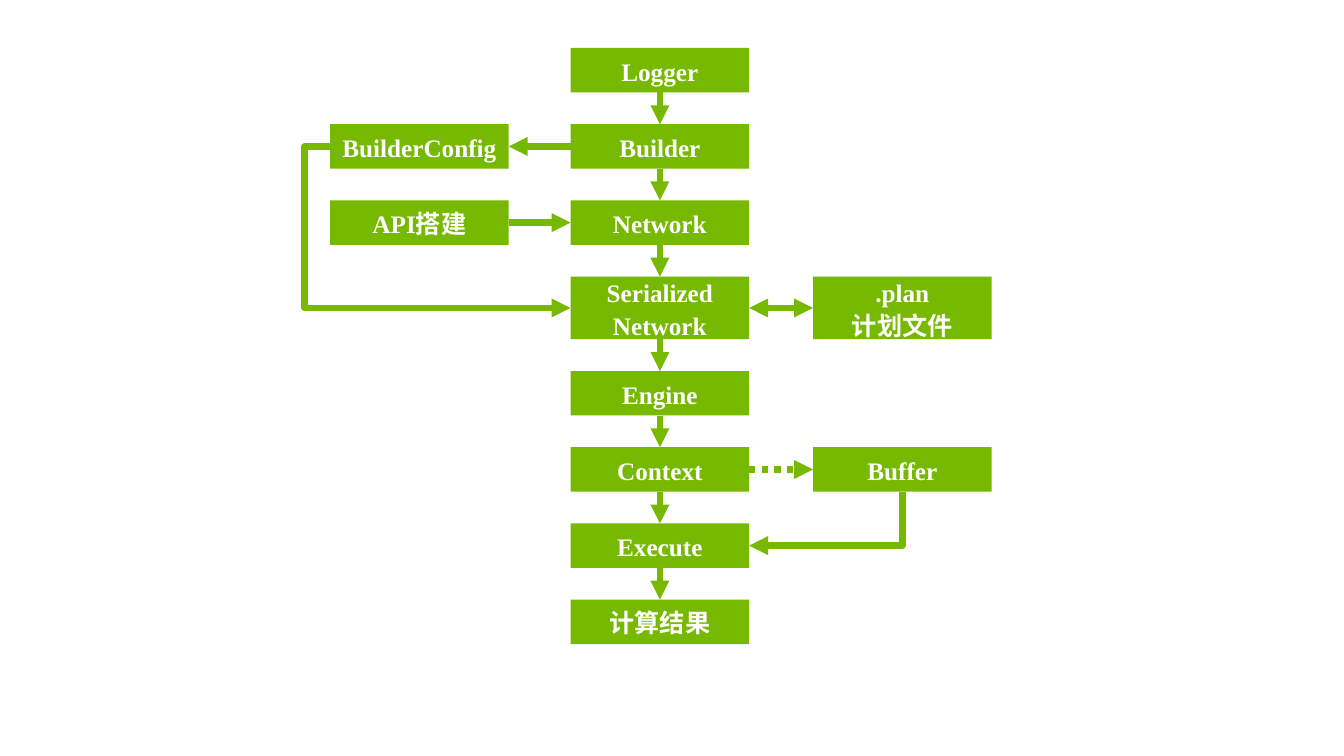
from itertools import pairwise

from lxml.etree import SubElement
from pptx import Presentation
from pptx.dml.color import RGBColor
from pptx.enum.dml import MSO_LINE
from pptx.enum.shapes import MSO_CONNECTOR as CONN, MSO_SHAPE
from pptx.enum.text import MSO_ANCHOR, PP_ALIGN
from pptx.oxml.ns import qn
from pptx.util import Cm, Pt

GREEN = RGBColor(0x76, 0xB9, 0x00)
WHITE = RGBColor(0xFF, 0xFF, 0xFF)
TOP, LEFT, RIGHT, BOTTOM = 0, 1, 3, 2
LEFT_X, MAIN_X, RIGHT_X = 8.32, 14.38, 20.49
FIRST_Y, GAP = 1.21, 0.8
BOX_W, LINE_H, TALL_H = 4.5, 1.12, 1.58

STEPS = ["Logger", "Builder", "Network", "Serialized\nNetwork",
         "Engine", "Context", "Execute", "计算结果"]
SIDES = [
    (".plan\n计划文件", RIGHT_X, "Serialized\nNetwork"),
    ("API搭建", LEFT_X, "Network"),
    ("BuilderConfig", LEFT_X, "Builder"),
    ("Buffer", RIGHT_X, "Context"),
]


class FlowSlide:
    """Draws boxes and arrows in one style on one slide."""

    font = {"name": "Times New Roman", "size": Pt(18), "bold": True}
    para = {"alignment": PP_ALIGN.CENTER, "line_spacing": 1.07}
    frame = {"word_wrap": True, "vertical_anchor": MSO_ANCHOR.MIDDLE}

    def __init__(self, prs):
        """Add a blank slide."""
        self.shapes = prs.slides.add_slide(prs.slide_layouts[6]).shapes

    def apply(self, target, values):
        """Set each value as an attribute of the target."""
        for name, value in values.items():
            setattr(target, name, value)

    def box(self, text, x, y):
        """Add a green box with white centred text."""
        h = TALL_H if "\n" in text else LINE_H
        sp = self.shapes.add_shape(MSO_SHAPE.RECTANGLE, Cm(x), Cm(y), Cm(BOX_W), Cm(h))
        sp.shadow.inherit = False
        sp.fill.solid()
        sp.fill.fore_color.rgb = GREEN
        sp.line.fill.background()
        tf = sp.text_frame
        self.apply(tf, self.frame)
        tf.text = text
        for p in tf.paragraphs:
            self.apply(p, self.para)
            for r in p.runs:
                self.apply(r.font, self.font)
                r.font.color.rgb = WHITE
        return sp

    def arrow(self, start, start_side, end, end_side, kind=CONN.STRAIGHT,
              dash=None, both=False):
        """Join two boxes with an arrow."""
        c = self.shapes.add_connector(kind, 0, 0, 0, 0)
        c.begin_connect(start, start_side)
        c.end_connect(end, end_side)
        c.line.color.rgb = GREEN
        c.line.width = Pt(4.5)
        if dash:
            c.line.dash_style = dash
        ln = c.line._get_or_add_ln()
        for tag in ("a:headEnd", "a:tailEnd") if both else ("a:tailEnd",):
            SubElement(ln, qn(tag), type="triangle")
        SubElement(c._element.spPr, qn("a:effectLst"))
        return c

    def loop(self, start, end, reach):
        """Join two left sides, passing outside the first by reach."""
        c = self.arrow(start, LEFT, end, LEFT, CONN.ELBOW)
        guides = c._element.spPr.prstGeom.get_or_add_avLst()
        ratio = round(-100000 * Cm(reach) / c.width)
        SubElement(guides, qn("a:gd"), name="adj1", fmla=f"val {ratio}")

    def corner(self, start, end):
        """Run down from the first box, then left into the second."""
        c = self.arrow(start, BOTTOM, end, RIGHT, CONN.ELBOW)
        x, y, w, h = c.left, c.top, c.width, c.height
        self.apply(c, {"left": x + (w - h) // 2, "top": y + (h - w) // 2,
                       "width": h, "height": w})
        sp_pr = c._element.spPr
        sp_pr.prstGeom.set("prst", "bentConnector2")
        sp_pr.xfrm.set("rot", "5400000")
        sp_pr.xfrm.flipH = False


def main():
    """Build and save the workflow slide."""
    prs = Presentation()
    prs.slide_width, prs.slide_height = Cm(33.87), Cm(19.05)
    s = FlowSlide(prs)

    boxes, y = {}, FIRST_Y
    for text in STEPS:
        boxes[text] = s.box(text, MAIN_X, y)
        y += boxes[text].height.cm + GAP
    for text, x, step in SIDES:
        boxes[text] = s.box(text, x, boxes[step].top.cm)

    plan, api, config, buffer = (boxes[side[0]] for side in SIDES)
    serialized = boxes["Serialized\nNetwork"]
    s.arrow(api, RIGHT, boxes["Network"], LEFT)
    s.arrow(boxes["Builder"], LEFT, config, RIGHT)
    s.loop(config, serialized, 0.64)
    s.arrow(serialized, RIGHT, plan, LEFT, both=True)
    s.arrow(boxes["Context"], RIGHT, buffer, LEFT, dash=MSO_LINE.ROUND_DOT)
    s.corner(buffer, boxes["Execute"])
    for upper, lower in pairwise(STEPS):
        s.arrow(boxes[upper], BOTTOM, boxes[lower], TOP)

    prs.save("out.pptx")


if __name__ == "__main__":
    main()
